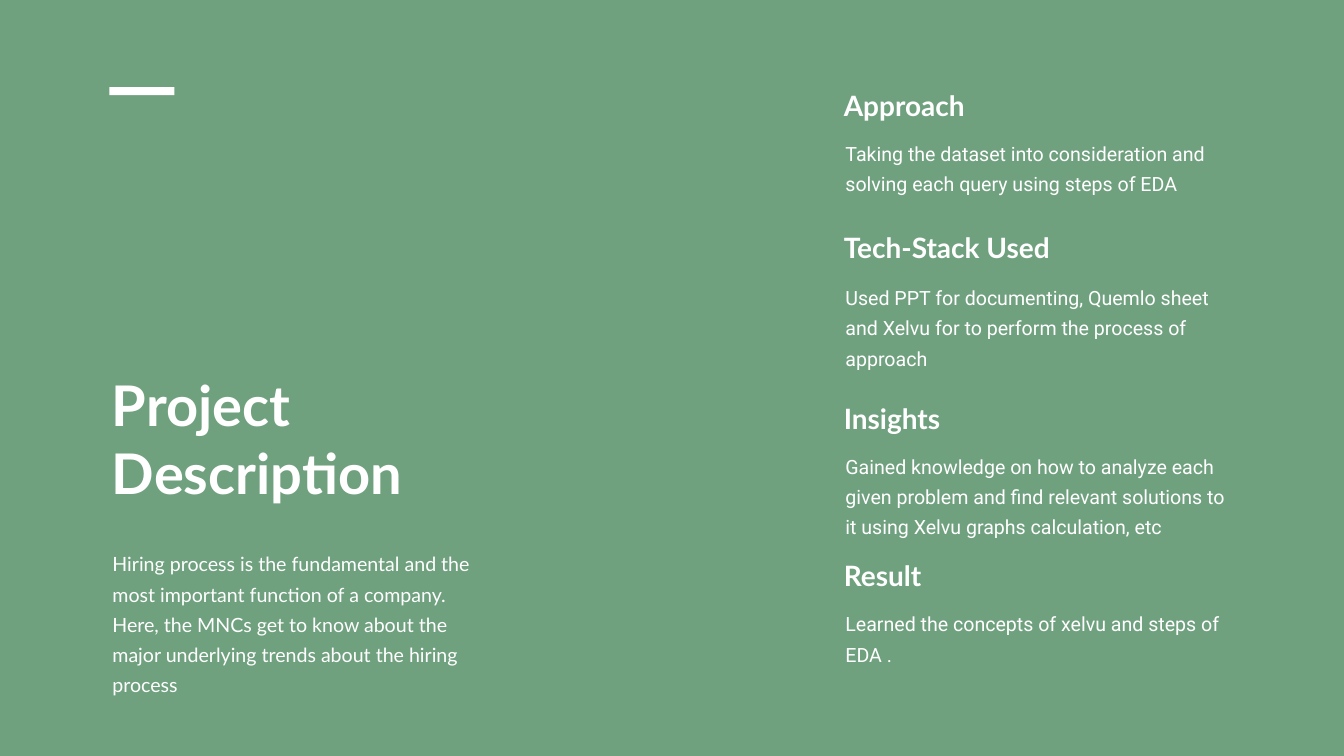
import pptx
import pptx.util
import pptx.dml.color
import pptx.enum.shapes
import pptx.enum.text

Inches, Pt = pptx.util.Inches, pptx.util.Pt
GREEN = pptx.dml.color.RGBColor(0x70, 0xA1, 0x7F)
WHITE = pptx.dml.color.RGBColor(0xFF, 0xFF, 0xFF)
WIDE, HIGH = 26.66, 15

# heading, heading top, body, body top, body height
TOPICS = [
    ("Approach", 1.71,
     "Taking the dataset into consideration and solving each query using steps of EDA",
     2.57, 1.38),
    ("Tech-Stack Used", 4.52,
     "Used PPT for documenting, Quemlo sheet and Xelvu for to perform the process of approach",
     5.43, 2.05),
    ("Insights", 7.91,
     "Gained knowledge on how to analyze each given problem and find relevant solutions "
     "to it using Xelvu graphs calculation, etc",
     8.78, 1.99),
    ("Result", 11.03,
     "Learned the concepts of xelvu and steps of EDA .",
     11.9, 1.45),
]
TITLE = "Project Description"
INTRO = ("Hiring process is the fundamental and the most important function of a company. "
         "Here, the MNCs get to know about the major underlying trends about the hiring process")

HEAD = {"name": "Lato", "size": Pt(40), "bold": True}
BIG = {**HEAD, "size": Pt(80)}
BODY = {"name": "Roboto", "size": Pt(28), "bold": False}
LEAD = {**BODY, "name": "Lato"}
TIGHT = (0.1, 0.05)
LOOSE = (0.24, 0.12)


def add_bar(slide, box, fill):
    bar = slide.shapes.add_shape(
        pptx.enum.shapes.MSO_SHAPE.RECTANGLE, *map(Inches, box))
    bar.shadow.inherit = False
    bar.fill.solid()
    bar.fill.fore_color.rgb = fill
    bar.line.fill.background()


def add_text(slide, text, box, style, inset, pitch=None):
    """Add a white text box; pitch is the fixed line height."""
    frame = slide.shapes.add_textbox(*map(Inches, box)).text_frame
    side, edge = map(Inches, inset)
    layout = {
        "word_wrap": True,
        "auto_size": pptx.enum.text.MSO_AUTO_SIZE.SHAPE_TO_FIT_TEXT,
        "margin_left": side, "margin_right": side,
        "margin_top": edge, "margin_bottom": edge,
    }
    for key, value in layout.items():
        setattr(frame, key, value)
    para = frame.paragraphs[0]
    if pitch:
        para.line_spacing = pitch
    run = para.add_run()
    run.text = text
    for key, value in style.items():
        setattr(run.font, key, value)
    run.font.color.rgb = WHITE


def main():
    deck = pptx.Presentation()
    deck.slide_width, deck.slide_height = Inches(WIDE), Inches(HIGH)
    slide = deck.slides.add_slide(deck.slide_layouts[6])

    add_bar(slide, (0, 0, WIDE, HIGH), GREEN)
    add_bar(slide, (2.17, 1.73, 1.29, 0.16), WHITE)

    for head, top, body, start, tall in TOPICS:
        add_text(slide, head, (16.64, top, 5.76, 0.77), HEAD, TIGHT)
        add_text(slide, body, (16.53, start, 8.14, tall), BODY, LOOSE, Pt(43))

    add_text(slide, TITLE, (2.12, 7.31, 8.23, 2.79), BIG, TIGHT)
    add_text(slide, INTRO, (1.99, 10.71, 7.77, 3.26), LEAD, LOOSE, Pt(43))

    deck.save("out.pptx")


if __name__ == "__main__":
    main()
